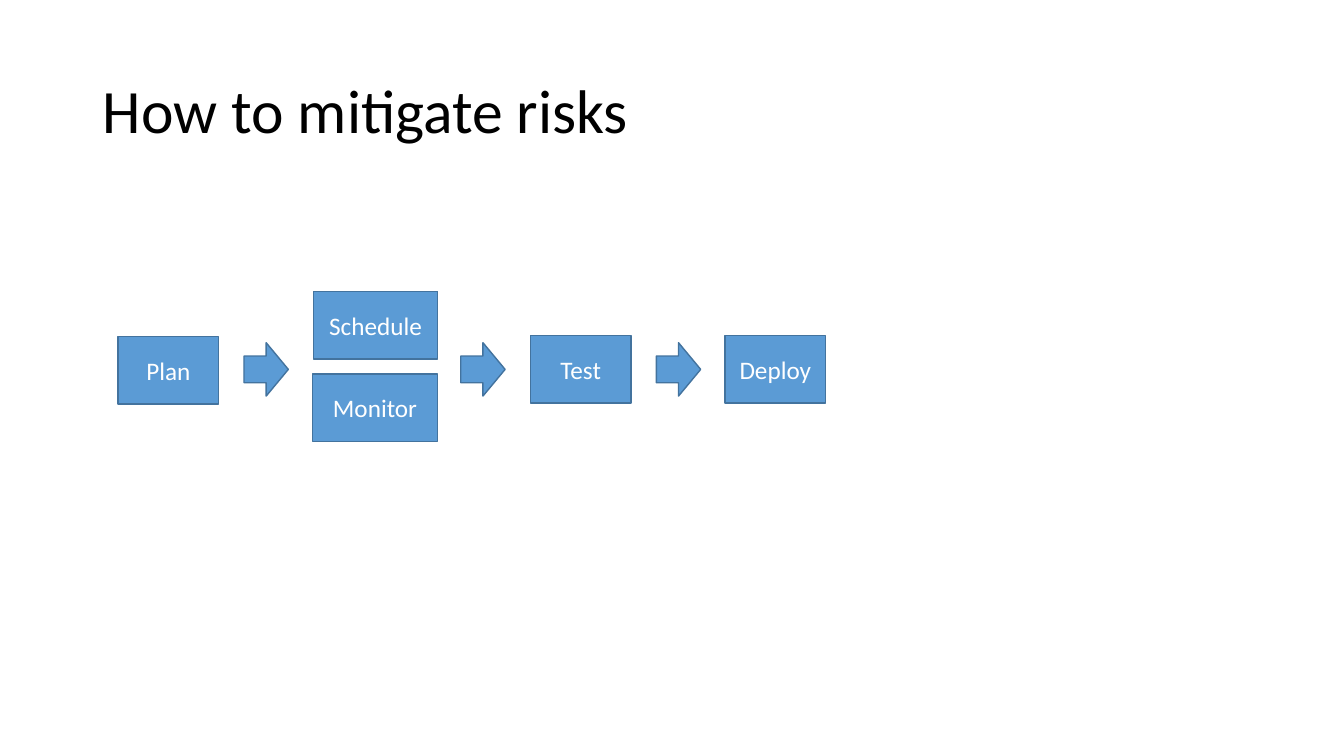
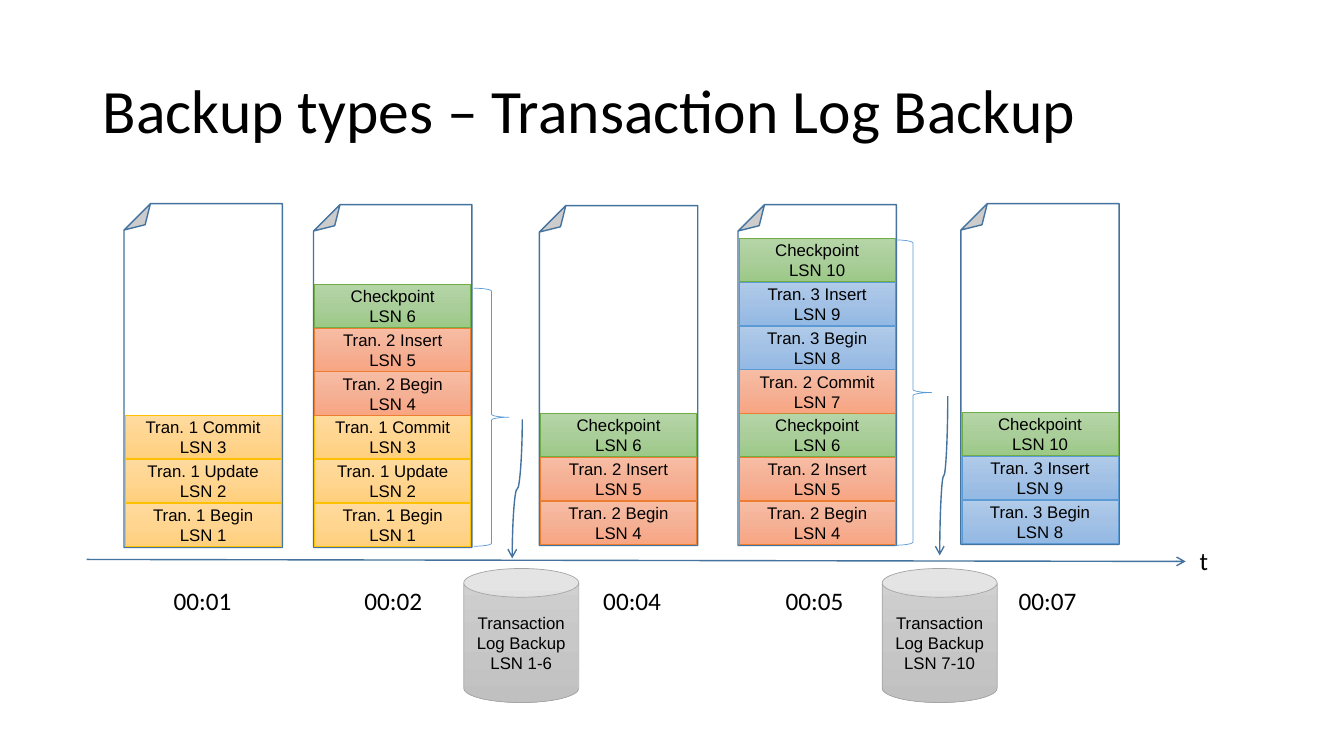
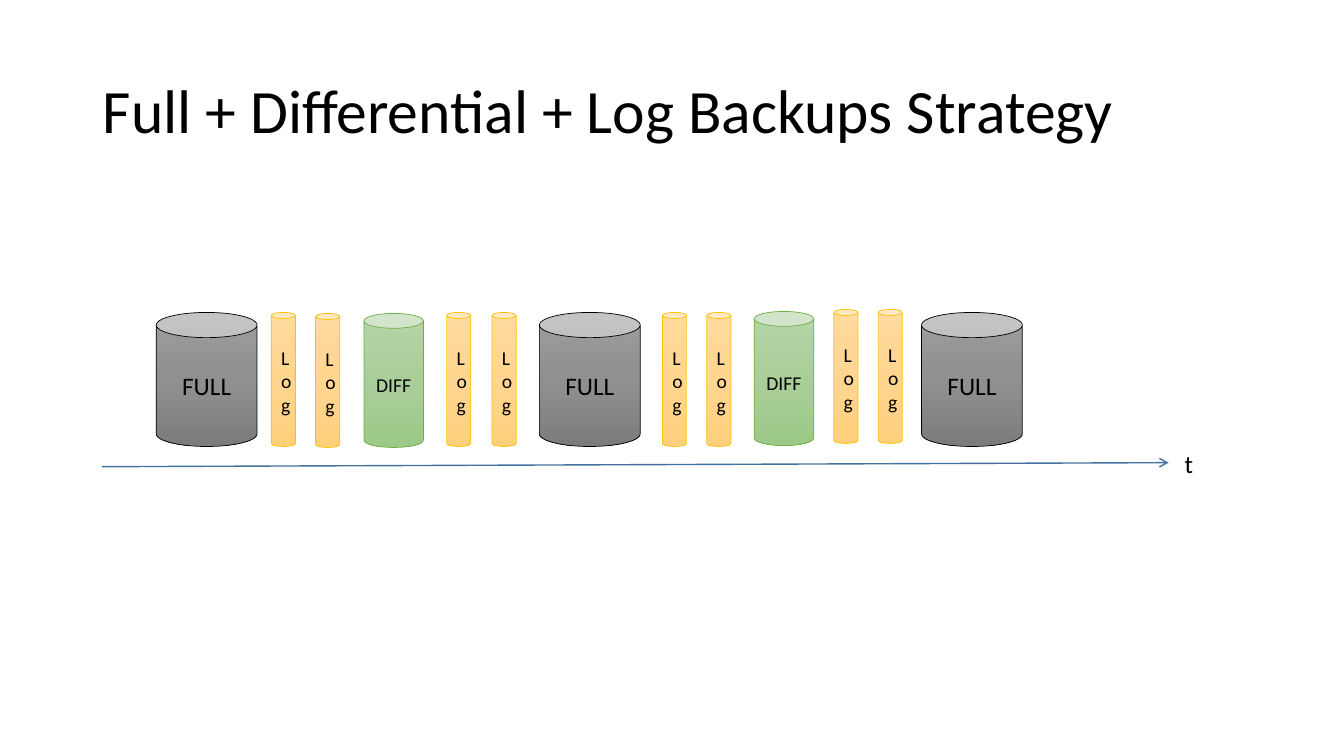
from copy import deepcopy

from pptx import Presentation
from pptx import util as u
from pptx.dml.color import RGBColor
from pptx.enum import shapes, text
from pptx.oxml import ns, parse_xml

PX = 9144  # EMU in one px, 100 px to the inch
PRESET = shapes.MSO_SHAPE

# Colours: a gradient is (three stops, line)
BLACK = RGBColor(0x00, 0x00, 0x00)
WHITE = RGBColor(0xFF, 0xFF, 0xFF)
BLUE = RGBColor(0x5B, 0x9B, 0xD5)
DARK_BLUE = RGBColor(0x43, 0x73, 0x9E)


def gradient(stops, line):
    return [RGBColor.from_string(stop) for stop in stops.split()], RGBColor.from_string(line)


YELLOW = gradient("FFDB9E FFD590 FFD07C", "FFC000")
ORANGE = gradient("F7BDA5 F5B196 F8A582", "ED7D31")
GREEN = gradient("B5D5A7 AACE9A 9CC987", "70AD47")
SKY = gradient("B1CBE9 A3C1E5 93B9E4", "5B9BD5")
SILVER = gradient("D2D2D2 C8C8C8 C0C0C0", "A5A5A5")
GREY = gradient("9D9D9D 909090 7C7C7C", "000000")

# Slide 1: steps (label, left, top, width) and arrow lefts
STEPS = [
    ("Plan", 117, 334, 100),
    ("Test", 526, 333, 100),
    ("Deploy", 719, 333, 100),
    ("Monitor", 310, 371, 124),
    ("Schedule", 311, 289, 123),
]
STEP_ARROWS = [242, 457, 651]

# Slide 2: log records by LSN, and the log file at each moment
RECORDS = {
    1: ("Tran. 1 Begin", YELLOW),
    2: ("Tran. 1 Update", YELLOW),
    3: ("Tran. 1 Commit", YELLOW),
    4: ("Tran. 2 Begin", ORANGE),
    5: ("Tran. 2 Insert", ORANGE),
    6: ("Checkpoint", GREEN),
    7: ("Tran. 2 Commit", ORANGE),
    8: ("Tran. 3 Begin", SKY),
    9: ("Tran. 3 Insert", SKY),
    10: ("Checkpoint", GREEN),
}
# (time, time left, page left, page top, page bottom, first LSN, last LSN)
LOG_FILES = [
    ("00:01", 161, 123, 202, 543, 1, 3),
    ("00:02", 350, 311, 203, 543, 1, 6),
    ("00:04", 587, 535, 204, 541, 4, 6),
    ("00:05", 768, 732, 203, 541, 4, 10),
    ("00:07", 999, 953, 202, 540, 8, 10),
]
PAGE_WIDTH, RECORD_HEIGHT, RECORD_PITCH = 157, 43, 43.4
# (LSN range, can left, brace box, arrow start, arrow end)
LOG_BACKUPS = [
    ("LSN 1-6", 460, (470, 286, 35, 256), (518, 416), (508, 554)),
    ("LSN 7-10", 875, (887, 238, 37, 303), (940, 393), (932, 551)),
]

# Slide 3: kinds (label, width, size, colours) and cans (kind, left, top)
BACKUP_KINDS = {
    "full": ("FULL", 100, 18, GREY),
    "diff": ("DIFF", 59, 14, GREEN),
    "log": ("Log", 24, 14, YELLOW),
}
BACKUPS = [
    ("full", 155, 310), ("log", 269, 310), ("log", 313, 311), ("diff", 361, 311),
    ("log", 443, 310), ("log", 488, 310), ("full", 535, 310), ("log", 657, 310),
    ("log", 701, 310), ("diff", 748, 309), ("log", 827, 307), ("log", 871, 307),
    ("full", 914, 310),
]
CAN_HEIGHT = 133


def emu(*lengths):
    return [u.Emu(round(length * PX)) for length in lengths]


def write(frame, lines, size, color, font="Calibri", align=text.PP_ALIGN.CENTER):
    for number, line in enumerate(lines):
        paragraph = frame.add_paragraph() if number else frame.paragraphs[0]
        paragraph.alignment = align
        run = paragraph.add_run()
        run.text = line
        run.font.size = u.Pt(size)
        run.font.name = font
        run.font.color.rgb = color


def add_shape(slide, preset, box, fill, line=DARK_BLUE, line_width=1):
    shape = slide.shapes.add_shape(preset, *emu(*box))
    shape.shadow.inherit = False
    if fill is None:
        shape.fill.background()
    else:
        shape.fill.solid()
        shape.fill.fore_color.rgb = fill
    shape.line.color.rgb = line
    shape.line.width = u.Pt(line_width)
    return shape


def add_gradient_shape(slide, preset, box, colors):
    stops, line = colors
    shape = add_shape(slide, preset, box, stops[0], line, 0.5)
    shape.fill.gradient()
    shape.fill.gradient_angle = 270  # counted anticlockwise: runs top to bottom
    stop_list = shape._element.spPr.find(ns.qn("a:gradFill")).find(ns.qn("a:gsLst"))
    stop_list.append(deepcopy(stop_list[-1]))
    for number, (stop, color) in enumerate(zip(shape.fill.gradient_stops, stops)):
        stop.color.rgb = color
        stop.position = number / 2
    return shape


def add_arrow(slide, start, end, kind=shapes.MSO_CONNECTOR.STRAIGHT):
    connector = slide.shapes.add_connector(kind, *emu(*start, *end))
    connector.line.color.rgb = DARK_BLUE
    connector.line.width = u.Pt(1)
    connector.line._get_or_add_ln().append(
        parse_xml(f'<a:tailEnd {ns.nsdecls("a")} type="arrow"/>'))
    connector._element.spPr.append(parse_xml(f'<a:effectLst {ns.nsdecls("a")}/>'))
    return connector


def add_curved_down_arrow(slide, start, end):
    # A curve leaving downwards is a sideways one turned by 90 degrees
    center_x, center_y = (start[0] + end[0]) / 2, (start[1] + end[1]) / 2
    half_length, half_shift = (end[1] - start[1]) / 2, (start[0] - end[0]) / 2
    connector = add_arrow(
        slide,
        (center_x - half_length, center_y - half_shift),
        (center_x + half_length, center_y + half_shift),
        shapes.MSO_CONNECTOR.CURVE)
    connector._element.spPr.find(ns.qn("a:xfrm")).set("rot", "5400000")


def add_label(slide, label, left, top, width=80):
    frame = slide.shapes.add_textbox(*emu(left, top, width, 40)).text_frame
    frame.word_wrap = True
    write(frame, [label], 18, BLACK)


def add_slide(presentation, title):
    slide = presentation.slides.add_slide(presentation.slide_layouts[5])
    shape = slide.shapes.title
    shape.left, shape.top, shape.width, shape.height = emu(92, 40, 1150, 145)
    frame = shape.text_frame
    frame.vertical_anchor = text.MSO_ANCHOR.MIDDLE
    write(frame, [title], 44, BLACK, align=text.PP_ALIGN.LEFT)
    frame.paragraphs[0].line_spacing = 0.9
    return slide


def build_risks(presentation):
    slide = add_slide(presentation, "How to mitigate risks")
    for label, left, top, width in STEPS:
        step = add_shape(slide, PRESET.FLOWCHART_PROCESS, (left, top, width, 67), BLUE)
        write(step.text_frame, [label], 18, WHITE)
    for left in STEP_ARROWS:
        add_shape(slide, PRESET.RIGHT_ARROW, (left, 340, 44, 53), BLUE)


def build_log_backup(presentation):
    slide = add_slide(presentation, "Backup types – Transaction Log Backup")

    # Log files with their records stacked from the bottom
    for time, time_left, left, top, bottom, first, last in LOG_FILES:
        page = add_shape(slide, PRESET.FOLDED_CORNER,
                         (left, top, PAGE_WIDTH, bottom - top), WHITE)
        page.rotation = 180
        for level, lsn in enumerate(range(first, last + 1)):
            label, colors = RECORDS[lsn]
            record_top = bottom - 1 - RECORD_HEIGHT - level * RECORD_PITCH
            record = add_gradient_shape(
                slide, PRESET.RECTANGLE,
                (left + 1, record_top, PAGE_WIDTH - 2, RECORD_HEIGHT), colors)
            write(record.text_frame, [label, f"LSN {lsn}"], 12, BLACK, "Arial")
        add_label(slide, time, time_left, 576)

    # Backups taken from the log
    for lsn_range, left, brace_box, start, end in LOG_BACKUPS:
        can = add_gradient_shape(slide, PRESET.CAN, (left, 564, 114, CAN_HEIGHT), SILVER)
        write(can.text_frame, ["Transaction Log Backup", lsn_range], 12, BLACK, "Arial")
        add_shape(slide, PRESET.RIGHT_BRACE, brace_box, None, BLUE, 0.5)
        add_curved_down_arrow(slide, start, end)

    # Time axis
    add_arrow(slide, (86, 555), (1176, 557))
    add_label(slide, "t", 1154, 536)


def build_strategy(presentation):
    slide = add_slide(presentation, "Full + Differential + Log Backups Strategy")
    for kind, left, top in BACKUPS:
        label, width, size, colors = BACKUP_KINDS[kind]
        can = add_gradient_shape(slide, PRESET.CAN, (left, top, width, CAN_HEIGHT), colors)
        write(can.text_frame, [label], size, BLACK)

    # Time axis
    add_arrow(slide, (101, 463), (1159, 459))
    add_label(slide, "t", 1029, 440, 300)


def main():
    presentation = Presentation()
    presentation.slide_width, presentation.slide_height = u.Inches(13.33), u.Inches(7.5)
    build_risks(presentation)
    build_log_backup(presentation)
    build_strategy(presentation)
    presentation.save("out.pptx")


if __name__ == "__main__":
    main()
